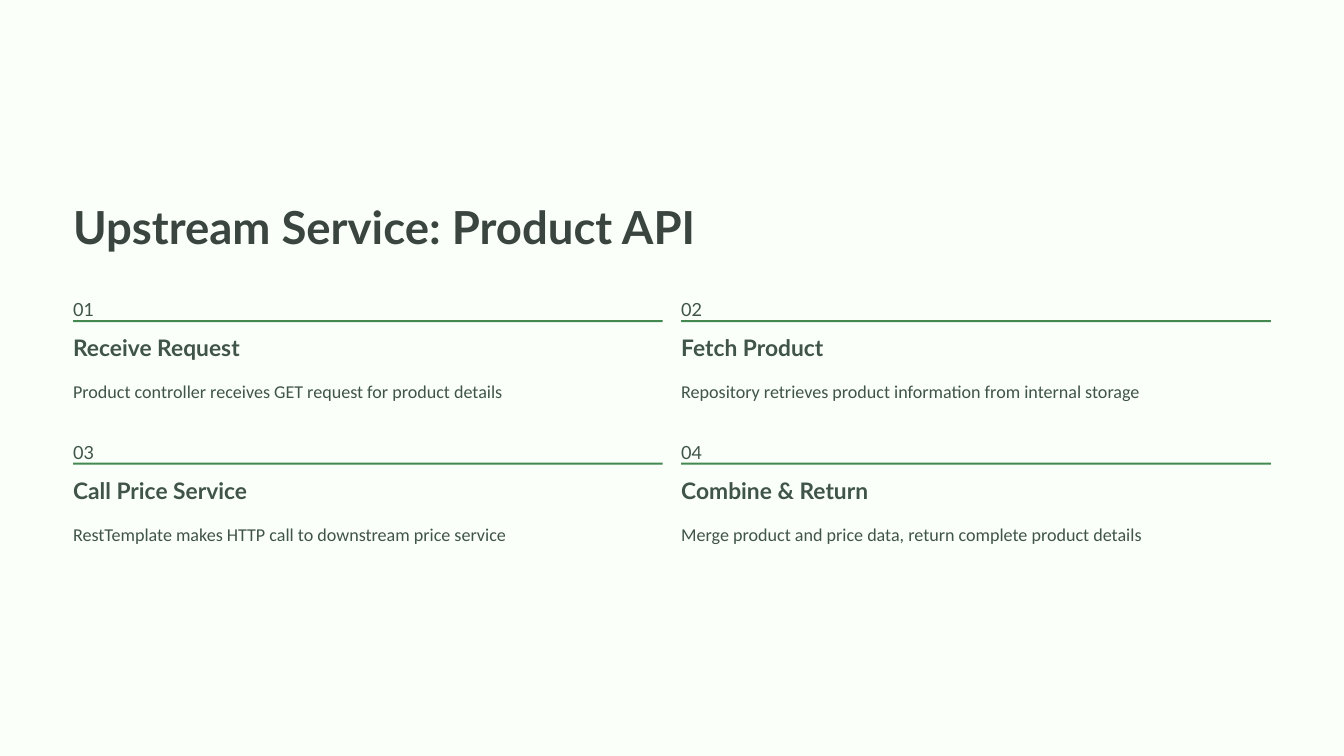
from pptx import Presentation
from pptx import util as u
from pptx.dml.color import RGBColor
from pptx.enum import shapes, text

BACKGROUND, TITLE, BODY, GREEN = "FAFFFA", "3B4540", "405449", "438951"


def paint(fill, color):
    fill.solid()
    fill.fore_color.rgb = RGBColor.from_string(color)


def write(box, words, size, spacing, color=BODY, font="Lato", bold=False):
    frame = box.text_frame
    frame.margin_left = frame.margin_top = frame.margin_right = frame.margin_bottom = 0
    frame.word_wrap = False
    frame.auto_size = text.MSO_AUTO_SIZE.NONE
    frame.vertical_anchor = text.MSO_ANCHOR.TOP
    frame.text = words
    paragraph = frame.paragraphs[0]
    paragraph.alignment = text.PP_ALIGN.LEFT
    paragraph.line_spacing = u.Pt(spacing)
    paragraph.font.name = font
    paragraph.font.size = u.Pt(size)
    paragraph.font.bold = bold
    paint(paragraph.font.fill, color)


deck = Presentation()
deck.slide_width, deck.slide_height = u.Cm(40.64), u.Cm(22.86)
slide = deck.slides.add_slide(deck.slide_layouts[5])
paint(slide.background.fill, BACKGROUND)

# Title
title = slide.shapes.title
title.left, title.top = u.Cm(2.21), u.Cm(5.97)
title.width, title.height = u.Cm(21.8), u.Cm(1.73)
write(title, "Upstream Service: Product API", 39, 48.5, TITLE, bold=True)

# Four numbered steps, two per row
steps = [
    ("Receive Request", "Product controller receives GET request for product details"),
    ("Fetch Product", "Repository retrieves product information from internal storage"),
    ("Call Price Service", "RestTemplate makes HTTP call to downstream price service"),
    ("Combine & Return", "Merge product and price data, return complete product details"),
]
step_width = u.Cm(17.83)
for index, (heading, detail) in enumerate(steps):
    row, column = divmod(index, 2)
    left = u.Cm(2.21 + 18.39 * column)
    top = 8.81 + 4.31 * row

    number = slide.shapes.add_textbox(left, u.Cm(top), u.Cm(0.56), u.Cm(0.69))
    write(number, f"{index + 1:02}", 15.5, 25)

    rule = slide.shapes.add_shape(shapes.MSO_SHAPE.RECTANGLE, left, u.Cm(top + 0.87),
                                  step_width, u.Cm(0.06))
    rule.shadow.inherit = False
    paint(rule.fill, GREEN)
    rule.line.fill.background()

    name = slide.shapes.add_textbox(left, u.Cm(top + 1.27), u.Cm(6.88), u.Cm(0.86))
    write(name, heading, 19.5, 24, bold=True)

    description = slide.shapes.add_textbox(left, u.Cm(top + 2.47), step_width, u.Cm(0.89))
    write(description, detail, 15.5, 25, font="Calibri")

deck.save("out.pptx")
